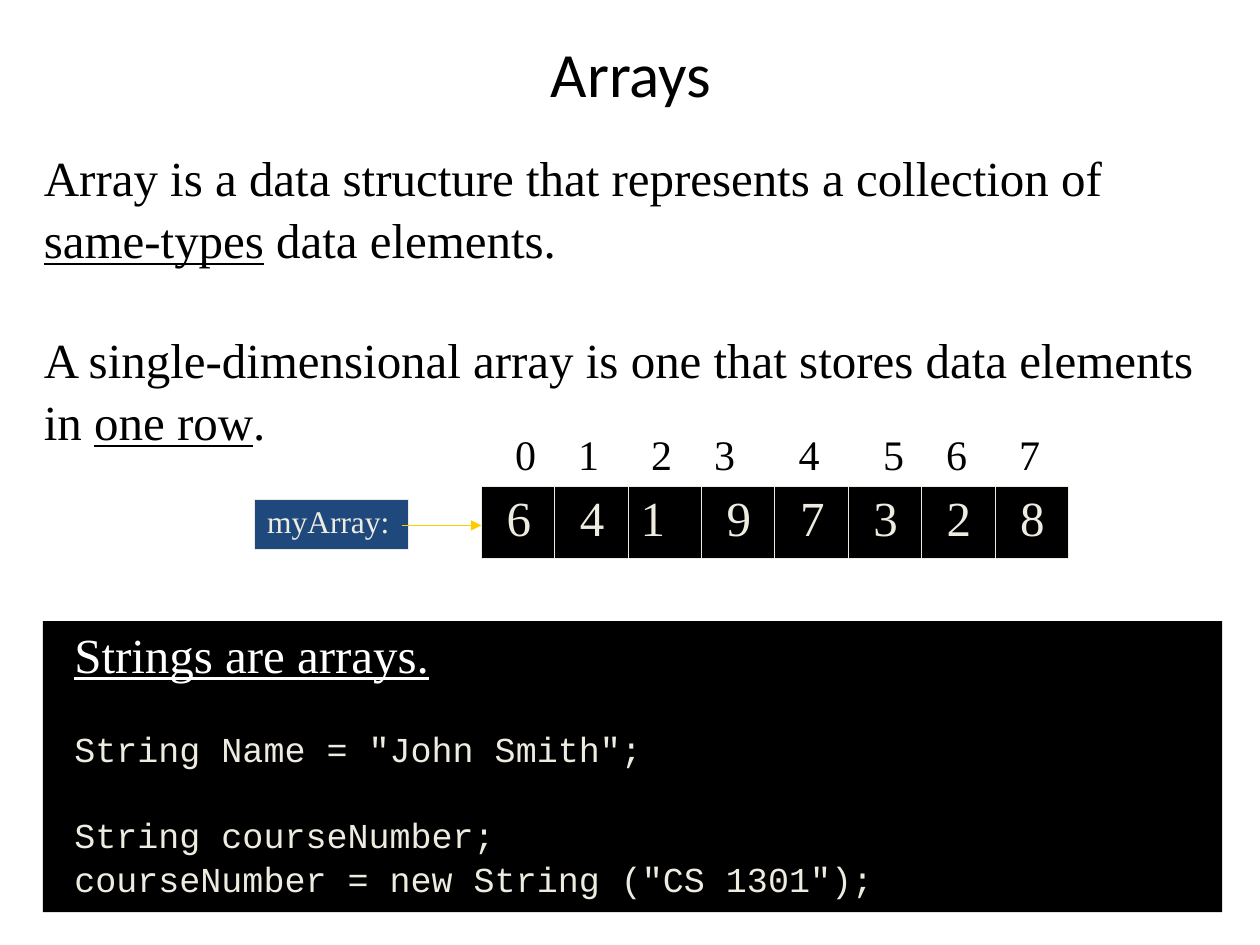
from lxml.etree import SubElement
from pptx import Presentation
from pptx.dml.color import RGBColor
from pptx.enum.shapes import MSO_CONNECTOR, MSO_SHAPE
from pptx.enum.text import MSO_ANCHOR, PP_ALIGN
from pptx.oxml import parse_xml
from pptx.oxml.ns import nsdecls, qn
from pptx.util import Inches, Pt

SERIF = "Times New Roman"
MONO = "Courier New"
BLACK = "000000"
CREAM = "EEECE1"


def color(value):
    """Turn a hex string into a colour."""
    return RGBColor.from_string(value)


def add_run(paragraph, text, size, ink=BLACK, font=SERIF, underline=False):
    """Append one formatted run to a paragraph."""
    run = paragraph.add_run()
    run.text = text
    run.font.name = font
    run.font.size = Pt(size)
    run.font.color.rgb = color(ink)
    run.font.underline = underline


def add_text_box(slide, left, top, width, height):
    """Add a wrapping text box and return its frame."""
    box = slide.shapes.add_textbox(Inches(left), Inches(top), Inches(width), Inches(height))
    box.text_frame.word_wrap = True
    return box.text_frame


def next_paragraph(frame, first, space_before=0):
    """Return the first paragraph, or a new one with space before it."""
    paragraph = frame.paragraphs[0] if first else frame.add_paragraph()
    paragraph.line_spacing = 1.05
    if not first:
        paragraph.space_before = Pt(space_before)
    return paragraph


def add_title(slide, text):
    """Add the centred slide title."""
    frame = add_text_box(slide, 0.76, 0.22, 8.5, 0.71)
    frame.vertical_anchor = MSO_ANCHOR.MIDDLE
    frame.paragraphs[0].alignment = PP_ALIGN.CENTER
    add_run(frame.paragraphs[0], text, 36, font="Calibri")


def add_definitions(slide, definitions):
    """Add definitions, each with an underlined key term."""
    frame = add_text_box(slide, 0.25, 1.1, 9.49, 2.44)
    for index, (before, term, after) in enumerate(definitions):
        paragraph = next_paragraph(frame, index == 0, 33.5)
        add_run(paragraph, before, 28)
        add_run(paragraph, term, 28, underline=True)
        add_run(paragraph, after, 28)


def add_string_panel(slide, heading, code):
    """Add the black panel with a heading and lines of code."""
    panel = slide.shapes.add_shape(
        MSO_SHAPE.RECTANGLE, Inches(0.34), Inches(4.93), Inches(9.36), Inches(2.31))
    panel.shadow.inherit = False
    panel.fill.solid()
    panel.fill.fore_color.rgb = color(BLACK)
    panel.line.fill.background()
    frame = panel.text_frame
    frame.word_wrap = True
    frame.vertical_anchor = MSO_ANCHOR.TOP
    frame.margin_left = Inches(0.25)
    frame.margin_top = frame.margin_right = frame.margin_bottom = 0
    paragraph = next_paragraph(frame, True)
    paragraph.alignment = PP_ALIGN.LEFT
    add_run(paragraph, heading, 28, "FFFFFF", underline=True)
    for line, space_before in code:
        paragraph = next_paragraph(frame, False, space_before)
        paragraph.alignment = PP_ALIGN.LEFT
        add_run(paragraph, line, 20, CREAM, MONO)


def add_borders(cell):
    """Draw a thin cream line on every side of a cell."""
    properties = cell._tc.get_or_add_tcPr()
    for index, side in enumerate(("lnL", "lnR", "lnT", "lnB")):
        properties.insert(index, parse_xml(
            f'<a:{side} {nsdecls("a")} w="5715"><a:solidFill>'
            f'<a:srgbClr val="{CREAM}"/></a:solidFill></a:{side}>'))


def add_row_table(slide, left, top, width, height, values, size, fill, margins):
    """Add a one-row table with equal columns."""
    table = slide.shapes.add_table(
        1, len(values), Inches(left), Inches(top), Inches(width), Inches(height)).table
    for cell, value, margin in zip(table.rows[0].cells, values, margins):
        cell.fill.solid()
        cell.fill.fore_color.rgb = color(fill)
        cell.margin_left = Inches(margin)
        add_borders(cell)
        add_run(cell.text_frame.paragraphs[0], value, size, CREAM)


def add_indices(slide, indices, stops):
    """Add the element indices, spaced by tab stops."""
    frame = add_text_box(slide, 3.99, 3.33, 4.46, 0.5)
    paragraph = next_paragraph(frame, True)
    tabs = SubElement(paragraph._p.get_or_add_pPr(), qn("a:tabLst"))
    for stop in stops:
        SubElement(tabs, qn("a:tab"), pos=str(Inches(stop)), algn="l")
    add_run(paragraph, "\t".join(indices), 24)


def add_arrow(slide, start, end, y):
    """Add the horizontal arrow from the name to the array."""
    arrow = slide.shapes.add_connector(
        MSO_CONNECTOR.STRAIGHT, Inches(start), Inches(y), Inches(end), Inches(y))
    arrow.line.color.rgb = color("FFCC00")
    arrow.line.width = Pt(1)
    SubElement(arrow.line._get_or_add_ln(), qn("a:tailEnd"), type="triangle")
    SubElement(arrow._element.spPr, qn("a:effectLst"))


def main():
    """Build the arrays slide."""
    deck = Presentation()
    deck.slide_width, deck.slide_height = Inches(10), Inches(7.5)
    slide = deck.slides.add_slide(deck.slide_layouts[6])
    add_title(slide, "Arrays")
    add_definitions(slide, [
        ("Array is a data structure that represents a collection of ",
         "same-types", " data elements."),
        ("A single-dimensional array is one that stores data elements in ",
         "one row", "."),
    ])
    add_string_panel(slide, "Strings are arrays.", [
        ('String Name = "John Smith";', 24),
        ("String courseNumber;", 24),
        ('courseNumber = new String ("CS 1301");', 0),
    ])
    add_row_table(slide, 2.02, 3.96, 1.22, 0.4, ["myArray:"], 18, "1F497D", [0.1])
    add_arrow(slide, 3.19, 3.82, 4.17)
    elements = "64197328"
    margins = [0.1 if element == "1" else 0.2 for element in elements]
    add_row_table(slide, 3.82, 3.86, 4.66, 0.57, elements, 28, BLACK, margins)
    add_indices(slide, "01234567", [0.5, 1.08, 1.58, 2.25, 2.92, 3.42, 4])
    deck.save("out.pptx")


if __name__ == "__main__":
    main()
